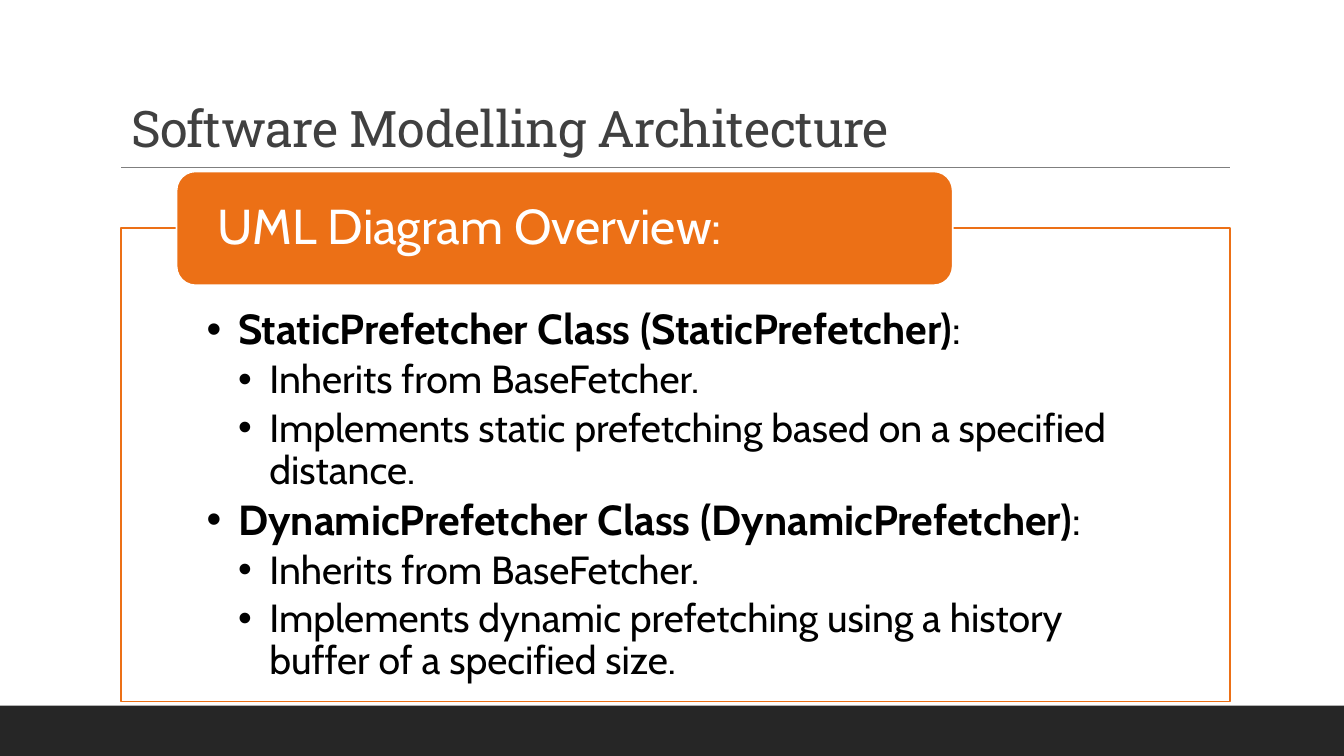
from pptx import Presentation
from pptx.dml.color import RGBColor as Rgb
from pptx.enum.shapes import MSO_CONNECTOR as Link, MSO_SHAPE as Form
from pptx.enum.text import MSO_ANCHOR as Anchor, MSO_AUTO_SIZE as Fit, PP_ALIGN as Align
from pptx.oxml.ns import qn
from pptx.util import Cm, Pt
from lxml.etree import SubElement as Sub

INK = {
    "bar": "262626",
    "title": "404040",
    "rule": "7F7F7F",
    "accent": "EC7016",
    "white": "FFFFFF",
    "black": "000000",
}
LEFT, WIDE = Cm(3.05), Cm(27.94)
STEP = 0.79


def ink(name):
    return Rgb.from_string(INK[name])


def add_run(para, text, size, face, tint, bold=False):
    run = para.add_run()
    run.text = text
    font = run.font
    font.size, font.name, font.bold = Pt(size), face, bold
    font.color.rgb = ink(tint)
    return run


deck = Presentation()
deck.slide_width, deck.slide_height = Cm(33.87), Cm(19.05)
slide = deck.slides.add_slide(deck.slide_layouts[1])
shapes = slide.shapes

title = shapes.title
title.left, title.top, title.width, title.height = LEFT, Cm(2.41), WIDE, Cm(1.8)
frame = title.text_frame
frame.auto_size = Fit.NONE
frame.vertical_anchor = Anchor.MIDDLE
para = frame.paragraphs[0]
para.alignment = Align.JUSTIFY
para.line_spacing = 0.9
run = add_run(para, "Software Modelling Architecture", 36, "Roboto Slab", "title")
run.font._element.set("spc", "-50")

body = slide.placeholders[1]
body.left, body.top, body.width, body.height = LEFT, Cm(5.74), WIDE, Cm(11.94)
body.fill.solid()
body.fill.fore_color.rgb = ink("white")
body.line.color.rgb = ink("accent")
body.line.width = Pt(1.25)
frame = body.text_frame
frame.auto_size = Fit.NONE
frame.word_wrap = True
frame.vertical_anchor = Anchor.TOP
frame.margin_left = frame.margin_right = Cm(2.16)
frame.margin_top, frame.margin_bottom = Cm(2.03), Cm(0.56)

items = [
    (0, "StaticPrefetcher Class (StaticPrefetcher)"),
    (1, "Inherits from BaseFetcher."),
    (1, "Implements static prefetching based on a specified distance."),
    (0, "DynamicPrefetcher Class (DynamicPrefetcher)"),
    (1, "Inherits from BaseFetcher."),
    (1, "Implements dynamic prefetching using a history buffer of a specified size."),
]
for i, (level, text) in enumerate(items):
    para = frame.add_paragraph() if i else frame.paragraphs[0]
    size = 28 if level else 30
    para.level = level
    para.alignment = Align.LEFT
    para.line_spacing = 0.9
    para.space_before = Pt(0)
    para.space_after = Pt(size * 0.15)
    props = para._p.get_or_add_pPr()
    props.set("marL", str(Cm(STEP * (level + 1))))
    props.set("indent", str(-Cm(STEP)))
    Sub(props, qn("a:buFont"), typeface="Arial")
    Sub(props, qn("a:buChar"), char="•")
    add_run(para, text, size, "Cabin", "black", level == 0)
    if level == 0:
        add_run(para, ":", size, "Cabin", "black")

bar = shapes.add_shape(Form.RECTANGLE, 0, Cm(17.78), deck.slide_width, Cm(1.27))
bar.shadow.inherit = False
bar.fill.solid()
bar.fill.fore_color.rgb = ink("bar")
bar.line.fill.background()

rule = shapes.add_connector(Link.STRAIGHT, LEFT, Cm(4.22), LEFT + WIDE, Cm(4.22))
rule.line.color.rgb = ink("rule")
rule.line.width = Pt(0.5)
Sub(rule._element.spPr, qn("a:effectLst"))

badge = shapes.add_shape(Form.ROUNDED_RECTANGLE, Cm(4.45), Cm(4.32), Cm(19.56), Cm(2.87))
badge.shadow.inherit = False
badge.fill.solid()
badge.fill.fore_color.rgb = ink("accent")
badge.line.color.rgb = ink("white")
badge.line.width = Pt(1.25)
frame = badge.text_frame
frame.word_wrap = True
frame.vertical_anchor = Anchor.MIDDLE
frame.margin_left = frame.margin_right = Cm(0.89)
frame.margin_top = frame.margin_bottom = 0
para = frame.paragraphs[0]
para.alignment = Align.LEFT
para.line_spacing = 0.9
add_run(para, "UML Diagram Overview:", 35, "Cabin", "white")

deck.save("out.pptx")
